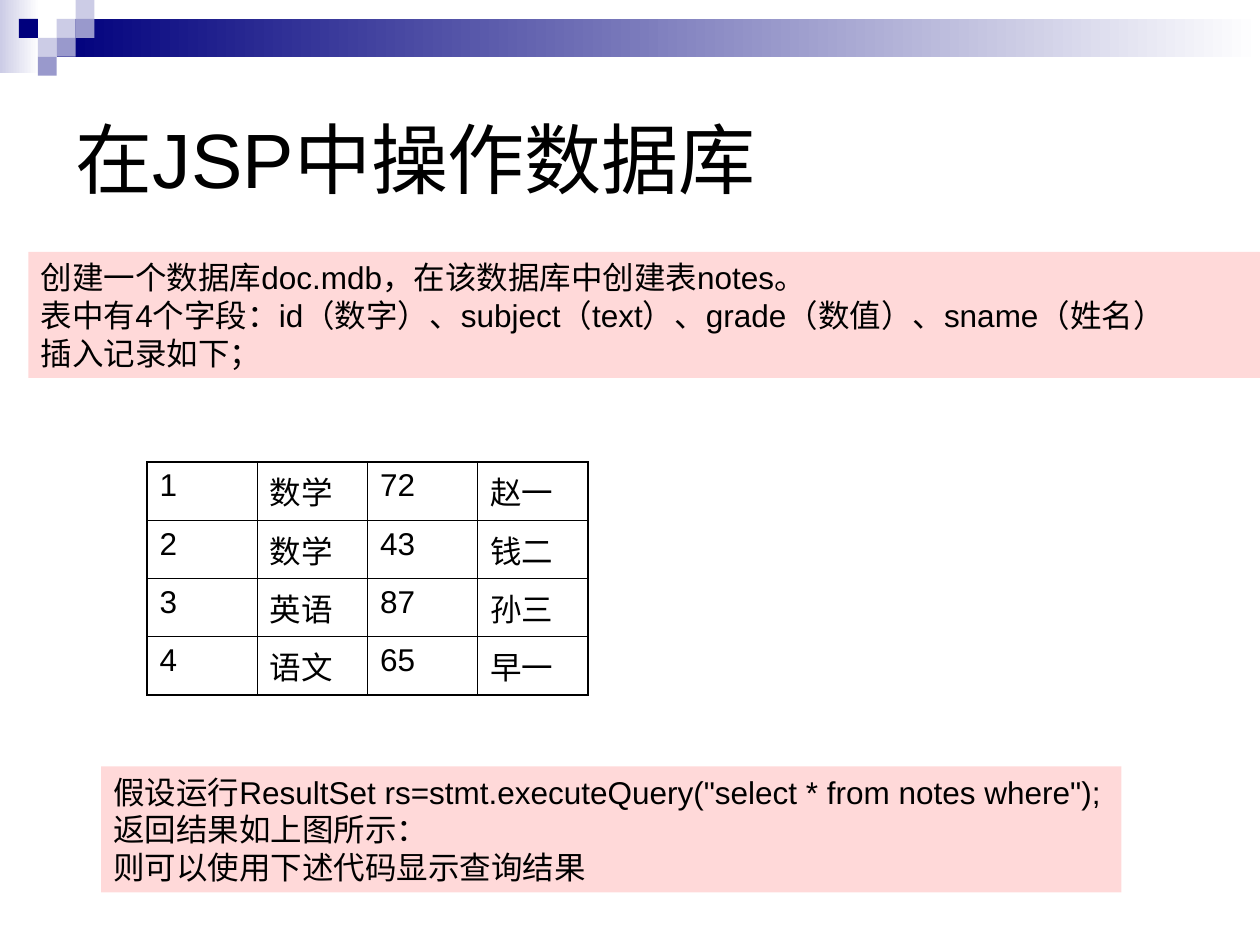
from dataclasses import dataclass

from lxml.etree import SubElement
from pptx import Presentation
from pptx.dml.color import RGBColor as Rgb
from pptx.enum.shapes import MSO_SHAPE as Shape
from pptx.enum.text import MSO_ANCHOR as Anchor, MSO_AUTO_SIZE as AutoSize, PP_ALIGN as Align
from pptx.oxml import parse_xml
from pptx.oxml.ns import nsdecls, qn
from pptx.util import Pt


@dataclass(frozen=True)
class Theme:
    font: str = "Arial"
    title_size: float = 44
    body_size: float = 18
    text: str = "000000"
    paper: str = "FFFFFF"
    navy: str = "00007D"
    mid: str = "9999CC"
    light: str = "CCCCE6"
    note: str = "FF0000"
    note_opacity: int = 15
    outer_line: float = 1.08
    inner_line: float = 0.45


THEME = Theme()
TILE = 10.8
# (column, row, colour) on the grid of small header squares
TILES = [
    (3, 1, THEME.light), (4, 0, THEME.light), (4, 1, THEME.mid), (2, 2, THEME.light),
    (1, 1, THEME.navy), (3, 2, THEME.mid), (2, 3, THEME.mid),
]
RECORDS = [
    ("1", "数学", "72", "赵一"),
    ("2", "数学", "43", "钱二"),
    ("3", "英语", "87", "孙三"),
    ("4", "语文", "65", "早一"),
]
SETUP_NOTE = [
    "创建一个数据库doc.mdb，在该数据库中创建表notes。",
    "表中有4个字段：id（数字）、subject（text）、grade（数值）、sname（姓名）",
    "插入记录如下；",
]
QUERY_NOTE = [
    '假设运行ResultSet rs=stmt.executeQuery("select * from notes where");',
    "返回结果如上图所示：",
    "则可以使用下述代码显示查询结果",
]


def set_all(target, values):
    for name, value in values.items():
        setattr(target, name, value)


def write(frame, lines, size, **para_format):
    """Fill a text frame with one paragraph per line."""
    for index, line in enumerate(lines):
        para = frame.paragraphs[0] if index == 0 else frame.add_paragraph()
        set_all(para, {"alignment": Align.LEFT, **para_format})
        span = para.add_run()
        span.text = line
        set_all(span.font, {"name": THEME.font, "size": Pt(size)})
        span.font.color.rgb = Rgb.from_string(THEME.text)


def add_rect(page, left, top, width, height):
    rect = page.shapes.add_shape(Shape.RECTANGLE, Pt(left), Pt(top), Pt(width), Pt(height))
    rect.shadow.inherit = False
    rect.line.fill.background()
    return rect


def fill_solid(rect, colour):
    rect.fill.solid()
    rect.fill.fore_color.rgb = Rgb.from_string(colour)


def add_fading_bar(page, left, top, width, height, colour):
    """Add a bar that fades from the colour on the left to the paper on the right."""
    bar = add_rect(page, left, top, width, height)
    bar.fill.gradient()
    bar.fill.gradient_angle = 180
    for stop, shade in zip(bar.fill.gradient_stops, (THEME.paper, colour)):
        stop.color.rgb = Rgb.from_string(shade)


def add_header(page):
    add_fading_bar(page, 0, 0, 22.5, 42, THEME.light)
    add_fading_bar(page, 3 * TILE, TILE, 720 - 3 * TILE, 2 * TILE, THEME.navy)
    for column, row, colour in TILES:
        fill_solid(add_rect(page, column * TILE, row * TILE, TILE, TILE), colour)


def add_title(page, text):
    title = page.shapes.title
    set_all(title, {"left": Pt(36), "top": Pt(36), "width": Pt(648), "height": Pt(108)})
    title.text_frame.vertical_anchor = Anchor.MIDDLE
    write(title.text_frame, [text], THEME.title_size)


def add_note(page, left, top, width, lines):
    box = add_rect(page, left, top, width, 72)
    fill_solid(box, THEME.note)
    colour = box.fill._xPr.find(f"{qn('a:solidFill')}/{qn('a:srgbClr')}")
    SubElement(colour, qn("a:alpha"), val=str(THEME.note_opacity * 1000))
    set_all(box.text_frame, {
        "word_wrap": False, "auto_size": AutoSize.SHAPE_TO_FIT_TEXT, "vertical_anchor": Anchor.TOP,
    })
    write(box.text_frame, lines, THEME.body_size)


def set_borders(cell, outer_sides):
    """Draw all four sides of a cell, heavier on those at the table's edge."""
    properties = cell._tc.get_or_add_tcPr()
    for index, side in enumerate("LRTB"):
        width = THEME.outer_line if side in outer_sides else THEME.inner_line
        properties.insert(index, parse_xml(
            f'<a:ln{side} {nsdecls("a")} w="{Pt(width)}"><a:solidFill>'
            f'<a:srgbClr val="{THEME.text}"/></a:solidFill></a:ln{side}>'))


def add_records(page, left, top, column_width, row_height):
    rows, columns = len(RECORDS), len(RECORDS[0])
    table = page.shapes.add_table(
        rows, columns, Pt(left), Pt(top), Pt(columns * column_width), Pt(rows * row_height)).table
    set_all(table, {"first_row": False, "horz_banding": False})
    for r, record in enumerate(RECORDS):
        for c, value in enumerate(record):
            cell = table.cell(r, c)
            cell.fill.background()
            write(cell.text_frame, [value], THEME.body_size, space_before=Pt(4.5))
            edges = {"L": c == 0, "R": c == columns - 1, "T": r == 0, "B": r == rows - 1}
            set_borders(cell, [side for side, at_edge in edges.items() if at_edge])


def main():
    deck = Presentation()
    set_all(deck, {"slide_width": Pt(720), "slide_height": Pt(540)})
    page = deck.slides.add_slide(deck.slide_layouts[5])
    add_header(page)
    add_title(page, "在JSP中操作数据库")
    add_records(page, 84, 264, 63, 33)
    add_note(page, 16.25, 144, 708, SETUP_NOTE)
    add_note(page, 57.75, 438, 583, QUERY_NOTE)
    deck.save("out.pptx")


if __name__ == "__main__":
    main()
